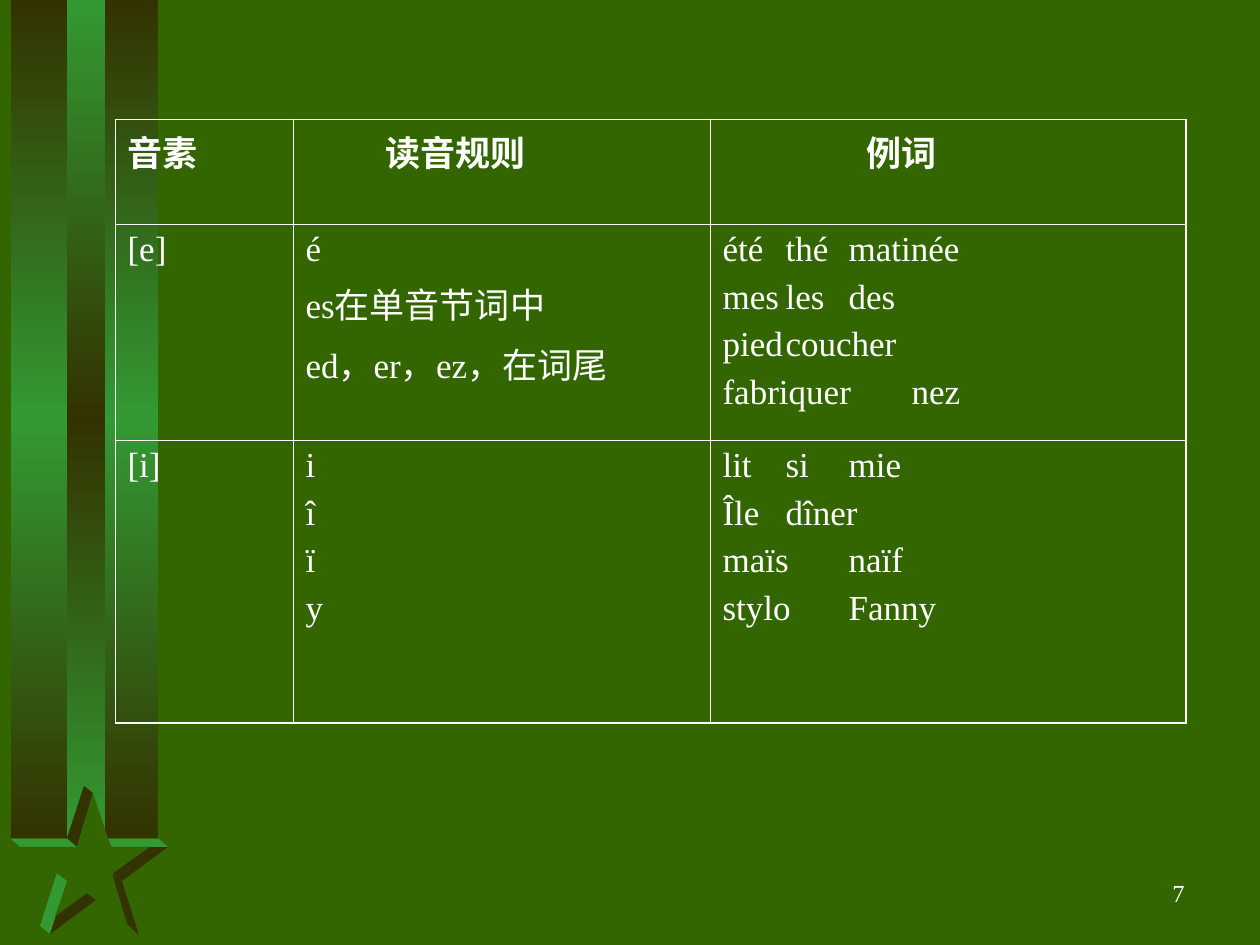
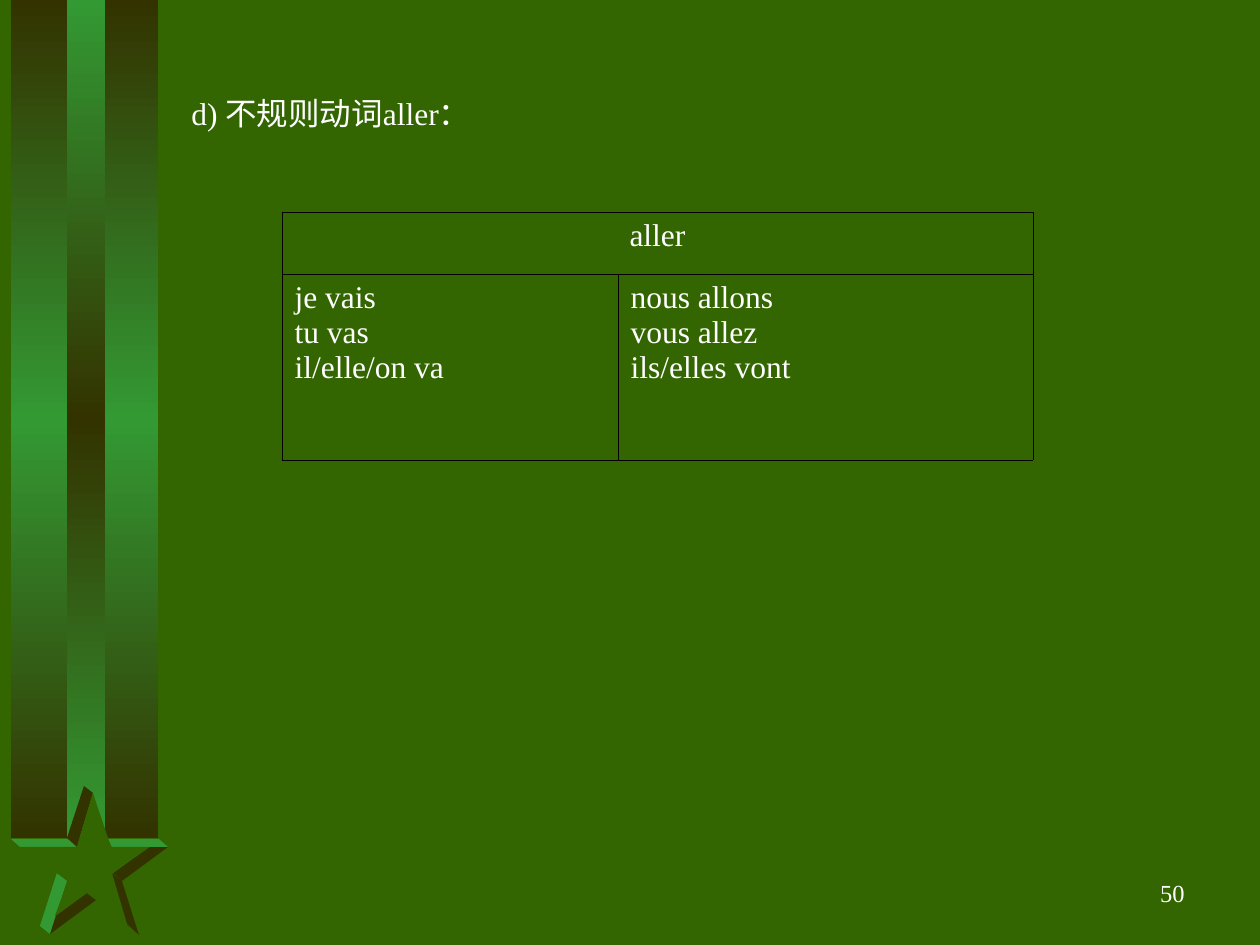
"""Build two French lesson slides: a phonetics table and the verb aller."""
from copy import deepcopy

from pptx import Presentation
from pptx.dml.color import RGBColor
from pptx.enum.shapes import MSO_SHAPE as Shape
from pptx.enum.text import MSO_ANCHOR as Anchor, PP_ALIGN as Align
from pptx.oxml.ns import qn
from pptx.oxml.xmlchemy import OxmlElement as Element
from pptx.util import Pt

SCALE = 914400 / 126
FONT = "Times New Roman"
GREEN, LEAF, BARK = "336600", "339933", "333300"
WHITE, BLACK = "FFFFFF", "000000"


def px(*lengths):
    return [round(length * SCALE) for length in lengths]


def write(frame, lines, size, align=Align.LEFT, gap=0, bold=False):
    for number, line in enumerate(lines):
        para = frame.add_paragraph() if number else frame.paragraphs[0]
        pieces = [(0, line)] if isinstance(line, str) else line
        properties = para._p.get_or_add_pPr()
        properties.set("marL", str(px(pieces[0][0])[0]))
        properties.set("indent", "0")
        if len(pieces) > 1:
            stops = Element("a:tabLst")
            for offset, word in pieces[1:]:
                stop = Element("a:tab")
                stop.set("pos", str(px(offset)[0]))
                stop.set("algn", "l")
                stops.append(stop)
            properties.append(stops)
        para.alignment = align
        para.space_before = Pt(gap if number else 0)
        for position, (offset, word) in enumerate(pieces):
            span = para.add_run()
            span.text = "\t" + word if position else word
            span.font.name = FONT
            span.font.size = Pt(size)
            span.font.bold = bold
            span.font.color.rgb = RGBColor.from_string(WHITE)


BANDS = [(11, 147, BARK, LEAF), (67, 38, LEAF, BARK)]
STAR_PARTS = [
    (BARK, [(113, 873), (122, 881), (168, 847), (150, 847)]),
    (LEAF, [(11, 839), (20, 847), (78, 847), (68, 839)]),
    (BARK, [(77, 847), (93, 793), (84, 786), (67, 838)]),
    (LEAF, [(112, 847), (108, 839), (159, 839), (168, 847)]),
    (BARK, [(42, 926), (50, 934), (96, 900), (87, 893)]),
    (BARK, [(127, 924), (139, 935), (122, 881), (112, 873)]),
    (LEAF, [(50, 934), (67, 881), (57, 873), (40, 926)]),
    (GREEN, [(93, 793), (77, 847), (20, 847), (68, 881), (55, 916),
             (87, 893), (127, 924), (112, 874), (149, 847), (111, 847)]),
]

PHONETICS = [
    [["音素"], [[(80, "读音规则")]], [[(144, "例词")]]],
    [["[e]"],
     ["é", "es在单音节词中", "ed，er，ez，在词尾"],
     [[(0, "été"), (137, "thé"), (267, "matinée")],
      [(0, "mes"), (144, "les"), (279, "des")],
      [(0, "pied"), (139, "coucher")],
      [(0, "fabriquer"), (163, "nez")]]],
    [["[i]"],
     ["i", "î", "ï", "y"],
     [[(0, "lit"), (160, "si"), (289, "mie")],
      [(0, "Île"), (151, "dîner")],
      [(0, "maïs"), (153, "naïf")],
      [(0, "stylo"), (147, "Fanny")]]],
]
ALLER = [
    [["aller"], []],
    [["je vais", "tu vas", "il/elle/on va"],
     ["nous allons", "vous allez", "ils/elles vont"]],
]

LESSONS = [
    dict(number="7", title=None, left=115, top=119, columns=[178, 417, 476],
         rows=[105, 216, 283], cells=PHONETICS, size=20, gap=5,
         header_bold=True, header_align=Align.LEFT, line=WHITE, edge=1.08),
    dict(number="50", title="d) 不规则动词aller：", left=282, top=212,
         columns=[336, 415], rows=[62, 186], cells=ALLER, size=18, gap=0,
         header_bold=False, header_align=Align.CENTER, line=BLACK, edge=0.45),
]

deck = Presentation()
deck.slide_width, deck.slide_height = px(1260, 945)

for lesson in LESSONS:
    page = deck.slides.add_slide(deck.slide_layouts[6])
    page.background.fill.solid()
    page.background.fill.fore_color.rgb = RGBColor.from_string(GREEN)

    for left, width, outer, middle in BANDS:
        band = page.shapes.add_shape(Shape.RECTANGLE, *px(left, 0, width, 838))
        band.shadow.inherit = False
        band.line.fill.background()
        band.fill.gradient()
        band.fill.gradient_angle = 270
        gradient = band._element.spPr.find(".//" + qn("a:gsLst"))
        gradient.append(deepcopy(gradient[0]))
        for position, stop in enumerate(band.fill.gradient_stops):
            stop.position = position / 2
            stop.color.rgb = RGBColor.from_string(middle if position == 1 else outer)

    for color, points in STAR_PARTS:
        outline = page.shapes.build_freeform(*points[0], scale=SCALE)
        outline.add_line_segments(points[1:], close=True)
        part = outline.convert_to_shape()
        part.shadow.inherit = False
        part.line.fill.background()
        part.fill.solid()
        part.fill.fore_color.rgb = RGBColor.from_string(color)

    if lesson["title"]:
        box = page.shapes.add_textbox(*px(179, 88, 326, 88))
        box.text_frame.word_wrap = True
        write(box.text_frame, [lesson["title"]], 18)

    columns, rows = lesson["columns"], lesson["rows"]
    frame = page.shapes.add_table(
        len(rows), len(columns),
        *px(lesson["left"], lesson["top"], sum(columns), sum(rows)))
    table = frame.table
    table.first_row = table.horz_banding = False
    for column, width in zip(table.columns, px(*columns)):
        column.width = width
    for row, height in zip(table.rows, px(*rows)):
        row.height = height
    for r, row_cells in enumerate(lesson["cells"]):
        for c, lines in enumerate(row_cells):
            cell = table.cell(r, c)
            borders = cell._tc.get_or_add_tcPr()
            for side in "LRTB":
                at_edge = (side == "R" and c == len(columns) - 1
                           or side == "B" and r == len(rows) - 1)
                border = Element("a:ln" + side)
                border.set("w", str(Pt(lesson["edge"] if at_edge else 0.45)))
                paint = Element("a:solidFill")
                color = Element("a:srgbClr")
                color.set("val", lesson["line"])
                paint.append(color)
                border.append(paint)
                borders.append(border)
            cell.fill.background()
            write(cell.text_frame, lines, lesson["size"],
                  Align.LEFT if r else lesson["header_align"],
                  lesson["gap"], lesson["header_bold"] and r == 0)
    if not lesson["cells"][0][-1]:
        table.cell(0, 0).merge(table.cell(0, len(columns) - 1))

    footer = page.shapes.add_textbox(*px(935, 861, 262, 63))
    footer.text_frame.word_wrap = True
    footer.text_frame.vertical_anchor = Anchor.MIDDLE
    write(footer.text_frame, [lesson["number"]], 14, Align.RIGHT)

deck.save("out.pptx")
